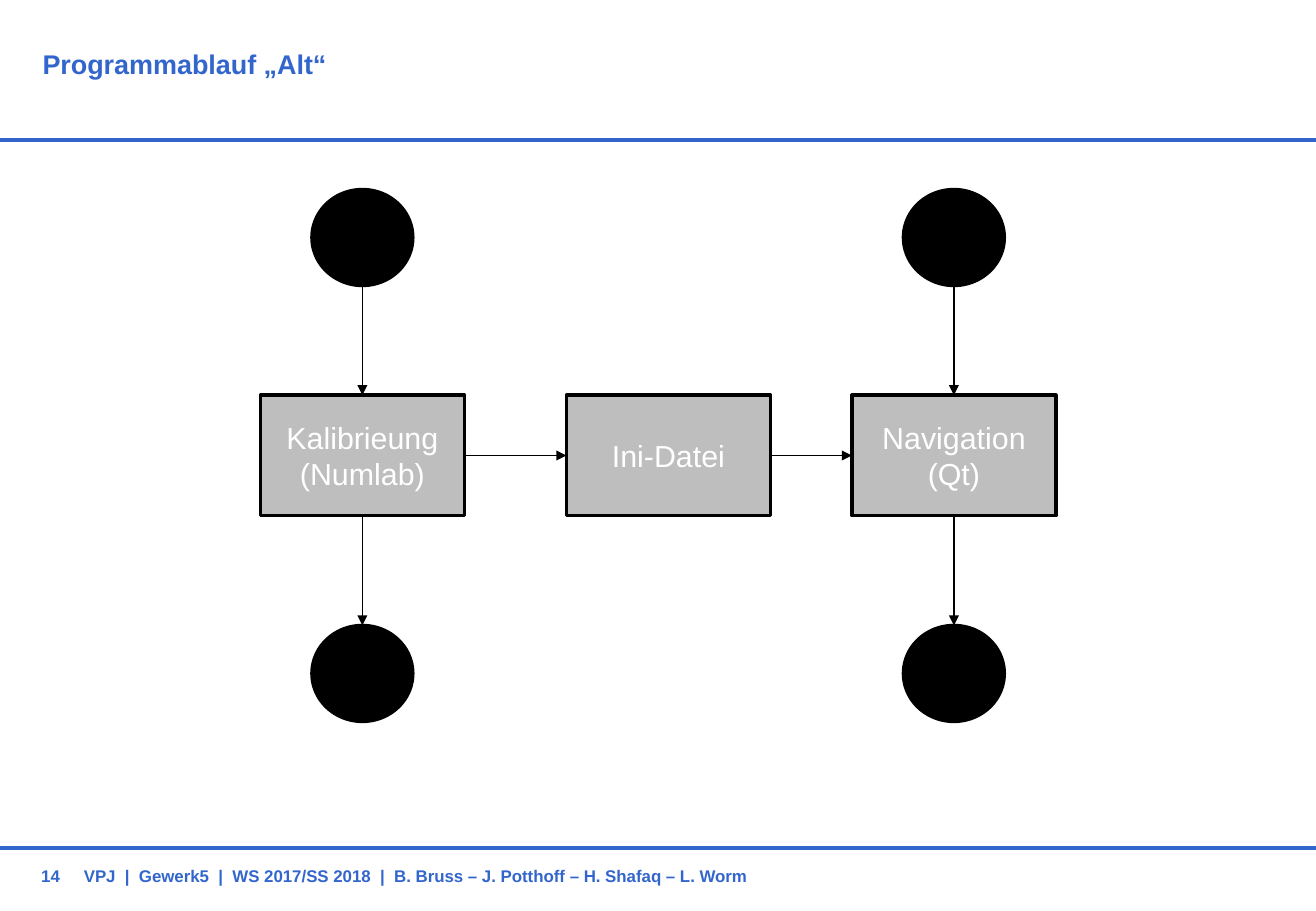
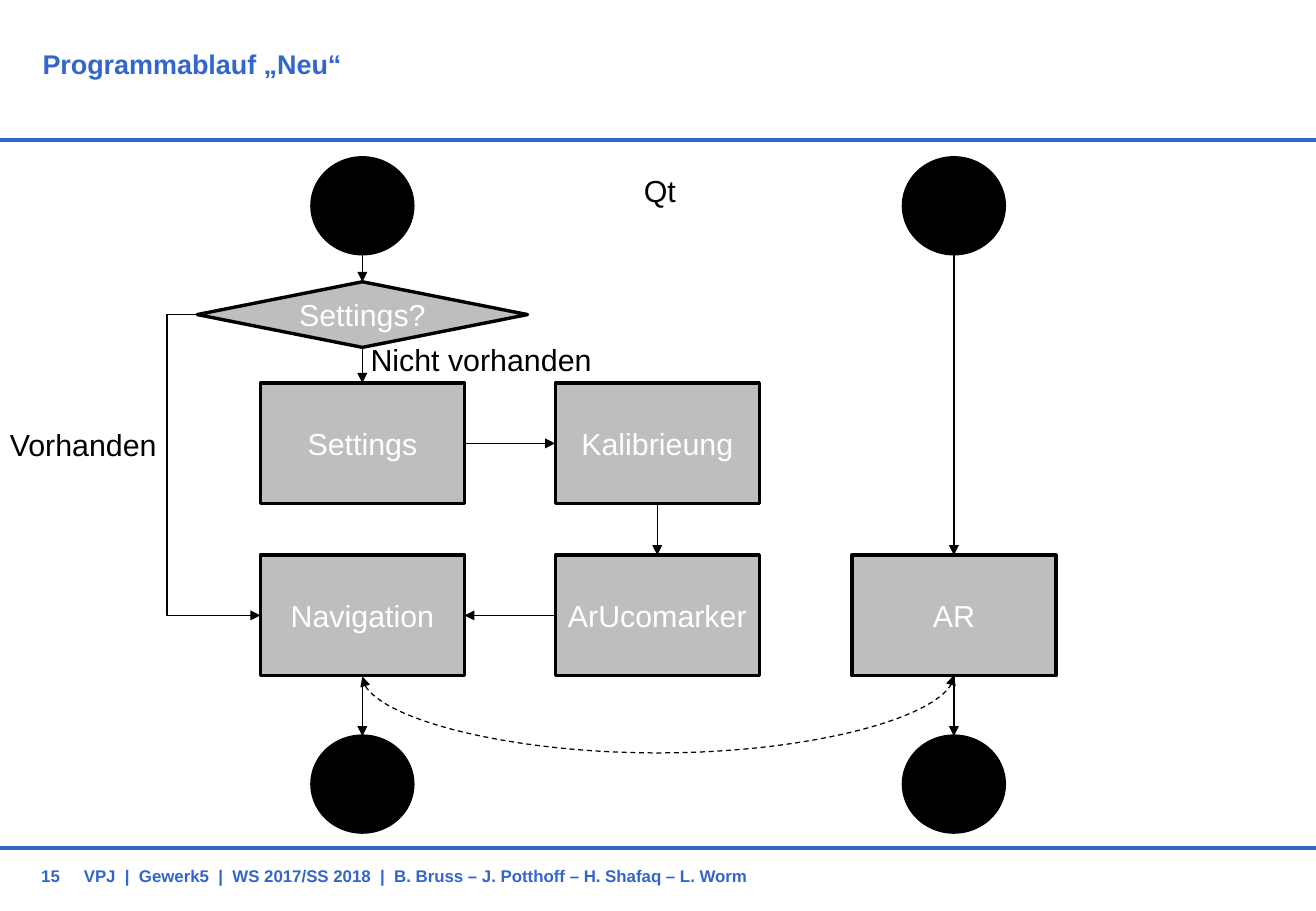
from pptx import Presentation
from pptx.dml.color import RGBColor
from pptx.enum.dml import MSO_LINE_DASH_STYLE as Dash
from pptx.enum.shapes import MSO_CONNECTOR as Link, MSO_SHAPE as Shape
from pptx.enum.text import MSO_ANCHOR as Anchor, PP_ALIGN as Align
from pptx.oxml.ns import qn
from pptx.util import Pt
from lxml.etree import SubElement

WIDTH, HEIGHT = 780, 540
BLUE, BLACK, GREY, WHITE = "3366CC", "000000", "BEBEBE", "FFFFFF"
LEFT_LANE, RIGHT_LANE = 214.8, 565.4
TOP, LEFT, BOTTOM, RIGHT = range(4)
FOOTER = "VPJ  |  Gewerk5  |  WS 2017/SS 2018  |  B. Bruss – J. Potthoff – H. Shafaq – L. Worm"


def color(hex_value):
    """Turn a hex string into a colour."""
    return RGBColor.from_string(hex_value)


def write(frame, text, size=18, ink=BLACK, bold=False, align=Align.LEFT,
          anchor=Anchor.TOP, wrap=True, margins=(0, 0, 0, 0)):
    """Fill a text frame with formatted paragraphs, one per line."""
    frame.text = text
    frame.word_wrap = wrap
    frame.vertical_anchor = anchor
    (frame.margin_left, frame.margin_top,
     frame.margin_right, frame.margin_bottom) = map(Pt, margins)
    for paragraph in frame.paragraphs:
        paragraph.alignment = align
        font = paragraph.font
        font.name, font.size, font.bold = "Arial", Pt(size), bold
        font.color.rgb = color(ink)


class FlowDeck:
    """Hold the shared style and the slide being drawn."""

    def __init__(self, first_number):
        """Start an empty deck."""
        self.deck = Presentation()
        self.deck.slide_width, self.deck.slide_height = Pt(WIDTH), Pt(HEIGHT)
        self.number = first_number
        self.slide = None

    def new_slide(self, title):
        """Add a slide with title, rules and footer."""
        self.slide = self.deck.slides.add_slide(self.deck.slide_layouts[5])
        heading = self.slide.shapes.title
        heading.left, heading.top = Pt(25.2), Pt(25.9)
        heading.width, heading.height = Pt(500), Pt(57)
        write(heading.text_frame, title, size=16, ink=BLUE, bold=True,
              margins=(0, 2.2, 0, 0))
        for y in (82.8, 502.6):
            self.line(Link.STRAIGHT, (0, y, WIDTH, y), BLUE, 2.25)
        footer = dict(size=10, ink=BLUE, bold=True, anchor=Anchor.BOTTOM)
        self.label(FOOTER, 49.7, 502.6, 680, 22.3, **footer)
        self.label(str(self.number), 0, 502.6, 35.5, 22.3, align=Align.RIGHT, **footer)
        self.number += 1

    def line(self, kind, ends, ink=BLACK, weight=0.75, dash=None):
        """Draw a connector without shadow."""
        connector = self.slide.shapes.add_connector(kind, *map(Pt, ends))
        connector.line.color.rgb = color(ink)
        connector.line.width = Pt(weight)
        if dash:
            connector.line.dash_style = dash
        SubElement(connector.element.spPr, qn("a:effectLst"))
        return connector

    def label(self, text, left, top, width, height=29, **style):
        """Place free text."""
        box = self.slide.shapes.add_textbox(*map(Pt, (left, top, width, height)))
        write(box.text_frame, text, **style)

    def node(self, kind, x, y, width, height, fill, text=""):
        """Draw a black-edged shape centred on a point."""
        shape = self.slide.shapes.add_shape(
            kind, *map(Pt, (x - width / 2, y - height / 2, width, height)))
        shape.shadow.inherit = False
        shape.fill.solid()
        shape.fill.fore_color.rgb = color(fill)
        shape.line.color.rgb = color(BLACK)
        shape.line.width = Pt(2)
        if text:
            write(shape.text_frame, text, ink=WHITE, align=Align.CENTER,
                  anchor=Anchor.MIDDLE)
        return shape

    def terminal(self, x, y):
        """Draw a start or end point."""
        return self.node(Shape.OVAL, x, y, 59.8, 56.9, BLACK)

    def step(self, text, x, y):
        """Draw a process box."""
        return self.node(Shape.RECTANGLE, x, y, 121, 71.5, GREY, text)

    def decision(self, text, x, y):
        """Draw a decision diamond."""
        return self.node(Shape.DIAMOND, x, y, 195.8, 38.9, GREY, text)

    def arrow(self, source, target, leave=BOTTOM, enter=TOP, kind=Link.STRAIGHT,
              bend=None, heads=("tailEnd",), dash=None):
        """Join two nodes with a glued arrow."""
        connector = self.line(kind, (0, 0, 0, 0), dash=dash)
        connector.begin_connect(source, leave)
        connector.end_connect(target, enter)
        if source.auto_shape_type == Shape.OVAL:
            connector.element.nvCxnSpPr.cNvCxnSpPr.stCxn.idx = leave * 2
        outline = connector.element.spPr.find(qn("a:ln"))
        for head in heads:
            SubElement(outline, qn(f"a:{head}"), type="triangle")
        if bend is not None:
            guides = connector.element.spPr.find(qn("a:prstGeom")).get_or_add_avLst()
            SubElement(guides, qn("a:gd"), name="adj1", fmla=f"val {round(bend * 100000)}")
        return connector

    def exchange(self, first, second, depth):
        """Hang a dashed two-way arc below two nodes."""
        thin = 0.72
        arc = self.arrow(first, second, BOTTOM, BOTTOM, Link.CURVE, depth / thin,
                         ("headEnd", "tailEnd"), Dash.DASH)
        start = first.left + first.width // 2
        span = second.left + second.width // 2 - start
        arc.left = start + (span - Pt(thin)) // 2
        arc.top = first.top + first.height - span // 2
        arc.width, arc.height = Pt(thin), span
        frame = arc.element.spPr.find(qn("a:xfrm"))
        frame.set("rot", "16200000")
        frame.set("flipH", "1")


def draw_old_flow(flow):
    """Draw the two separate programs joined by a file."""
    flow.new_slide("Programmablauf „Alt“")
    middle, reach = 270, 129.2
    programs = []
    for text, lane in (("Kalibrieung\n(Numlab)", LEFT_LANE), ("Navigation\n(Qt)", RIGHT_LANE)):
        start = flow.terminal(lane, middle - reach)
        program = flow.step(text, lane, middle)
        end = flow.terminal(lane, middle + reach)
        flow.arrow(start, program)
        flow.arrow(program, end)
        programs.append(program)
    calibration, navigation = programs
    ini_file = flow.step("Ini-Datei", 396.2, middle)
    flow.arrow(calibration, ini_file, RIGHT, LEFT)
    flow.arrow(ini_file, navigation, RIGHT, LEFT)


def draw_new_flow(flow):
    """Draw the combined program and the AR program."""
    flow.new_slide("Programmablauf „Neu“")
    start_row, check_row, setup_row, run_row, end_row = 122, 186.5, 262.8, 364.8, 464.8
    setup_lane = 389.6
    start, ar_start = (flow.terminal(x, start_row) for x in (LEFT_LANE, RIGHT_LANE))
    end, ar_end = (flow.terminal(x, end_row) for x in (LEFT_LANE, RIGHT_LANE))
    check = flow.decision("Settings?", LEFT_LANE, check_row)
    settings = flow.step("Settings", LEFT_LANE, setup_row)
    calibration = flow.step("Kalibrieung", setup_lane, setup_row)
    marker = flow.step("ArUcomarker", setup_lane, run_row)
    navigation = flow.step("Navigation", LEFT_LANE, run_row)
    ar = flow.step("AR", RIGHT_LANE, run_row)
    for source, target in ((start, check), (check, settings), (calibration, marker),
                           (navigation, end), (ar_start, ar), (ar, ar_end)):
        flow.arrow(source, target)
    flow.arrow(settings, calibration, RIGHT, LEFT)
    flow.arrow(marker, navigation, LEFT, RIGHT)
    flow.arrow(check, navigation, LEFT, LEFT, Link.ELBOW, bend=-0.48)
    flow.exchange(navigation, ar, depth=46.8)
    for text, left, top, width in (("Vorhanden", 5.8, 249.1, 88),
                                   ("Nicht vorhanden", 219.6, 198.7, 132),
                                   ("Qt", 381.6, 98.6, 20)):
        flow.label(text, left, top, width, wrap=False, margins=(0, 3.6, 0, 3.6))


def main():
    """Build and save the deck."""
    flow = FlowDeck(first_number=14)
    draw_old_flow(flow)
    draw_new_flow(flow)
    flow.deck.save("out.pptx")


if __name__ == "__main__":
    main()
